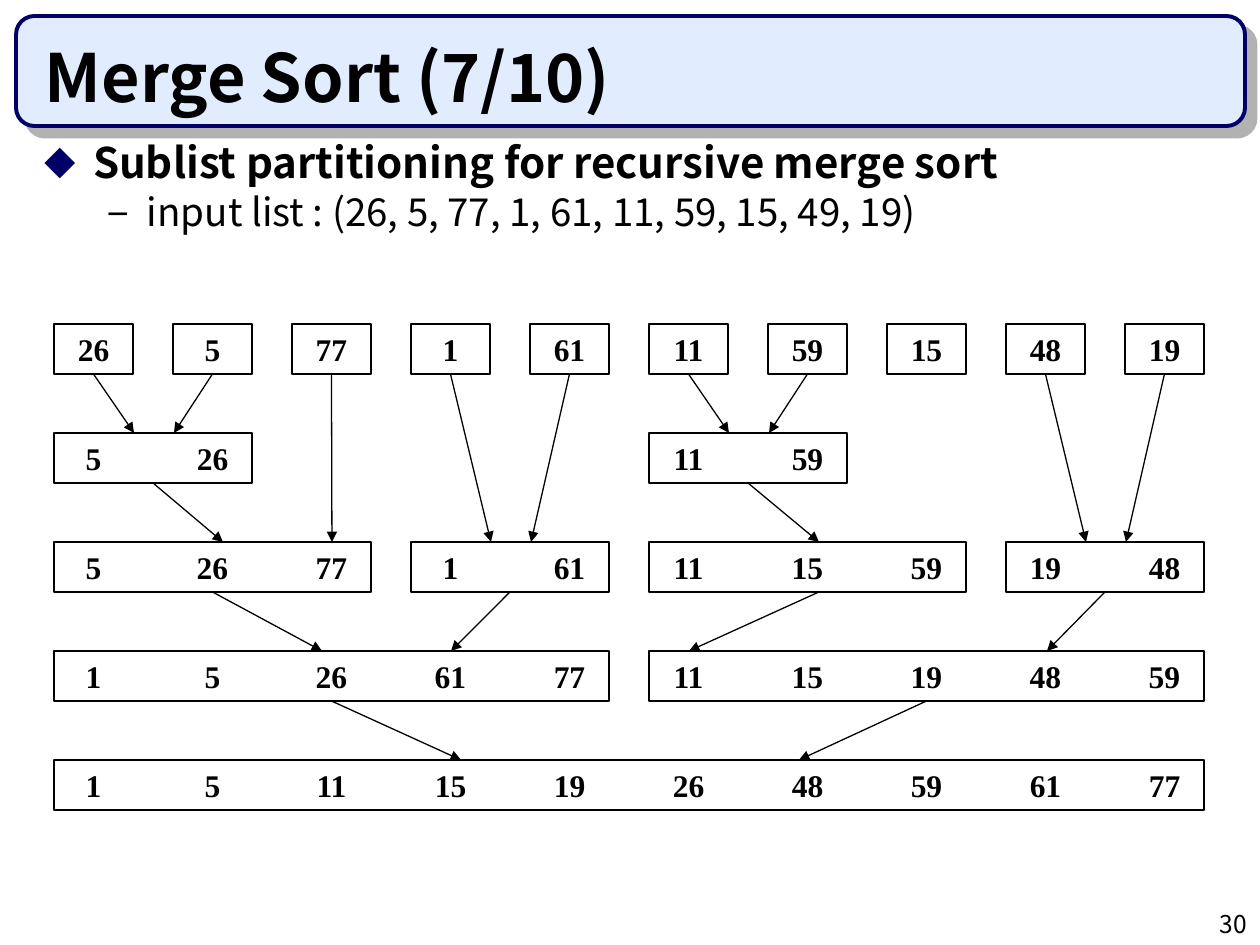
from dataclasses import dataclass
from typing import Optional

from lxml import etree
from pptx import Presentation, util as u
from pptx.dml import color
from pptx.enum import shapes, text
from pptx.oxml import ns, xmlchemy


@dataclass(frozen=True)
class Theme:
    sans: str = "Noto Sans CJK KR"
    serif: str = "Times New Roman"
    ink: str = "000000"
    navy: str = "000066"
    pale: str = "E1ECFF"
    shadow: str = "B2B2B2"
    title: float = 38
    heading: float = 24
    detail: float = 22
    number: float = 18
    footer: float = 14
    rule: float = 0.75
    frame: float = 2.25


@dataclass(frozen=True)
class Sublist:
    row: int
    column: int
    values: tuple


@dataclass(frozen=True)
class Merge:
    row: int
    column: int
    end_row: int
    end_x: int
    start_x: Optional[int] = None


@dataclass(frozen=True)
class Bullet:
    words: str
    size: float
    bold: bool
    level: int
    margin: int
    hanging: int
    before: float
    mark: str
    mark_color: str
    mark_percent: int


THEME = Theme()
SCALE = 914400 / 126
LEFT, TOP = 54, 324
COLUMN_STEP, ROW_STEP = 119, 109
CELL_WIDTH, CELL_HEIGHT = 79, 50

INPUT = (26, 5, 77, 1, 61, 11, 59, 15, 48, 19)
SUBLISTS = [Sublist(0, column, (value,)) for column, value in enumerate(INPUT)] + [
    Sublist(1, 0, (5, 26)),
    Sublist(1, 5, (11, 59)),
    Sublist(2, 0, (5, 26, 77)),
    Sublist(2, 3, (1, 61)),
    Sublist(2, 5, (11, 15, 59)),
    Sublist(2, 8, (19, 48)),
    Sublist(3, 0, (1, 5, 26, 61, 77)),
    Sublist(3, 5, (11, 15, 19, 48, 59)),
    Sublist(4, 0, (1, 5, 11, 15, 19, 26, 48, 59, 61, 77)),
]
MERGES = [
    Merge(0, 0, 1, 134), Merge(0, 1, 1, 174),
    Merge(0, 2, 2, 332),
    Merge(0, 3, 2, 491), Merge(0, 4, 2, 531),
    Merge(0, 5, 1, 729), Merge(0, 6, 1, 769),
    Merge(0, 8, 2, 1086), Merge(0, 9, 2, 1126),
    Merge(1, 0, 2, 223), Merge(1, 5, 2, 819),
    Merge(2, 0, 3, 322), Merge(2, 3, 3, 451),
    Merge(2, 5, 3, 689, 819), Merge(2, 8, 3, 1047),
    Merge(3, 0, 4, 461), Merge(3, 5, 4, 799),
]
BULLETS = [
    Bullet("Sublist partitioning for recursive merge sort", THEME.heading, True,
           0, 48, 48, 0, "◆", THEME.navy, 75),
    Bullet("input list : (26, 5, 77, 1, 61, 11, 59, 15, 49, 19)", THEME.detail, False,
           1, 102, 39, 3.5, "−", THEME.ink, 100),
]


def px(length: float) -> int:
    return u.Emu(round(length * SCALE))


def rgb(value: str) -> color.RGBColor:
    return color.RGBColor.from_string(value)


def add_xml(parent, tag: str, **attributes):
    child = etree.SubElement(parent, ns.qn(tag))
    for name, value in attributes.items():
        child.set(name, str(value))
    return child


def place(shape, left: int, top: int, width: int, height: int) -> None:
    shape.left, shape.top, shape.width, shape.height = map(px, (left, top, width, height))


def set_font(para, name: str, size: float, bold: bool = False) -> None:
    para.font.name, para.font.size, para.font.bold = name, u.Pt(size), bold
    para.font.color.rgb = rgb(THEME.ink)


def set_insets(frame, side: int, upper: int, lower: int) -> None:
    frame.margin_left = frame.margin_right = px(side)
    frame.margin_top, frame.margin_bottom = px(upper), px(lower)


def draw_header(page) -> None:
    title = page.shapes.title
    header = page.shapes.add_shape(
        shapes.MSO_SHAPE.ROUNDED_RECTANGLE, px(16), px(16), px(1229), px(110))
    header.fill.solid()
    header.fill.fore_color.rgb = rgb(THEME.pale)
    header.line.color.rgb = rgb(THEME.navy)
    header.line.width = u.Pt(THEME.frame)
    effects = add_xml(header.element.spPr, "a:effectLst")
    shadow = add_xml(effects, "a:outerShdw", blurRad=0, dist=u.Pt(8.5),
                     dir=45 * 60000, algn="ctr", rotWithShape=0)
    add_xml(shadow, "a:srgbClr", val=THEME.shadow)
    title.element.addprevious(header.element)

    place(title, 32, 32, 1187, 84)
    frame = title.text_frame
    frame.text = "Merge Sort (7/10)"
    frame.vertical_anchor = text.MSO_ANCHOR.BOTTOM
    frame.auto_size = text.MSO_AUTO_SIZE.NONE
    set_insets(frame, 13, 0, 0)
    para = frame.paragraphs[0]
    para.alignment = text.PP_ALIGN.LEFT
    set_font(para, THEME.sans, THEME.title, True)


def draw_bullets(body) -> None:
    place(body, 32, 136, 1194, 237)
    frame = body.text_frame
    frame.auto_size = text.MSO_AUTO_SIZE.NONE
    set_insets(frame, 13, 6, 6)
    for index, item in enumerate(BULLETS):
        para = frame.add_paragraph() if index else frame.paragraphs[0]
        para.text, para.level = item.words, item.level
        settings = para._p.get_or_add_pPr()
        settings.set("marL", str(px(item.margin)))
        settings.set("indent", str(-px(item.hanging)))
        add_xml(add_xml(settings, "a:buClr"), "a:srgbClr", val=item.mark_color)
        add_xml(settings, "a:buSzPct", val=item.mark_percent * 1000)
        add_xml(settings, "a:buFont", typeface=THEME.sans)
        add_xml(settings, "a:buChar", char=item.mark)
        para.line_spacing, para.space_before = 0.9, u.Pt(item.before)
        set_font(para, THEME.sans, item.size, item.bold)


def draw_sublist(page, item: Sublist):
    count = len(item.values)
    box = page.shapes.add_shape(
        shapes.MSO_SHAPE.RECTANGLE,
        px(LEFT + item.column * COLUMN_STEP), px(TOP + item.row * ROW_STEP),
        px(CELL_WIDTH + (count - 1) * COLUMN_STEP), px(CELL_HEIGHT))
    box.shadow.inherit = False
    box.fill.background()
    box.line.color.rgb = rgb(THEME.ink)
    box.line.width = u.Pt(THEME.rule)
    frame = box.text_frame
    frame.vertical_anchor = text.MSO_ANCHOR.MIDDLE
    set_insets(frame, 0, 6, 6)
    para = frame.paragraphs[0]
    if count == 1:
        para.text = str(item.values[0])
        para.alignment = text.PP_ALIGN.CENTER
    else:
        para.text = "".join(f"\t{value}" for value in item.values)
        para.alignment = text.PP_ALIGN.LEFT
        stops = add_xml(para._p.get_or_add_pPr(), "a:tabLst")
        for column in range(count):
            add_xml(stops, "a:tab", pos=px(CELL_WIDTH / 2 + column * COLUMN_STEP), algn="ctr")
    set_font(para, THEME.serif, THEME.number, True)
    return box


def draw_merge(page, item: Merge, box) -> None:
    arrow = page.shapes.add_connector(
        shapes.MSO_CONNECTOR.STRAIGHT, px(item.start_x or 0), box.top + box.height,
        px(item.end_x), px(TOP + item.end_row * ROW_STEP))
    if item.start_x is None:
        arrow.begin_connect(box, 2)
    arrow.line.color.rgb = rgb(THEME.ink)
    arrow.line.width = u.Pt(THEME.rule)
    add_xml(arrow.line._get_or_add_ln(), "a:tailEnd", type="triangle")
    add_xml(arrow._element.spPr, "a:effectLst")


def draw_page_number(page) -> None:
    box = page.shapes.add_textbox(px(998), px(903), px(262), px(42))
    frame = box.text_frame
    frame.word_wrap = True
    set_insets(frame, 13, 6, 6)
    para = frame.paragraphs[0]
    para.text, para.alignment = "30", text.PP_ALIGN.RIGHT
    set_font(para, THEME.sans, THEME.footer)


def main() -> None:
    deck = Presentation()
    deck.slide_width, deck.slide_height = u.Inches(10), u.Inches(7.5)
    page = deck.slides.add_slide(deck.slide_layouts[1])
    draw_header(page)
    draw_bullets(page.placeholders[1])
    boxes = {(item.row, item.column): draw_sublist(page, item) for item in SUBLISTS}
    for item in MERGES:
        draw_merge(page, item, boxes[item.row, item.column])
    draw_page_number(page)
    deck.save("out.pptx")


if __name__ == "__main__":
    main()
